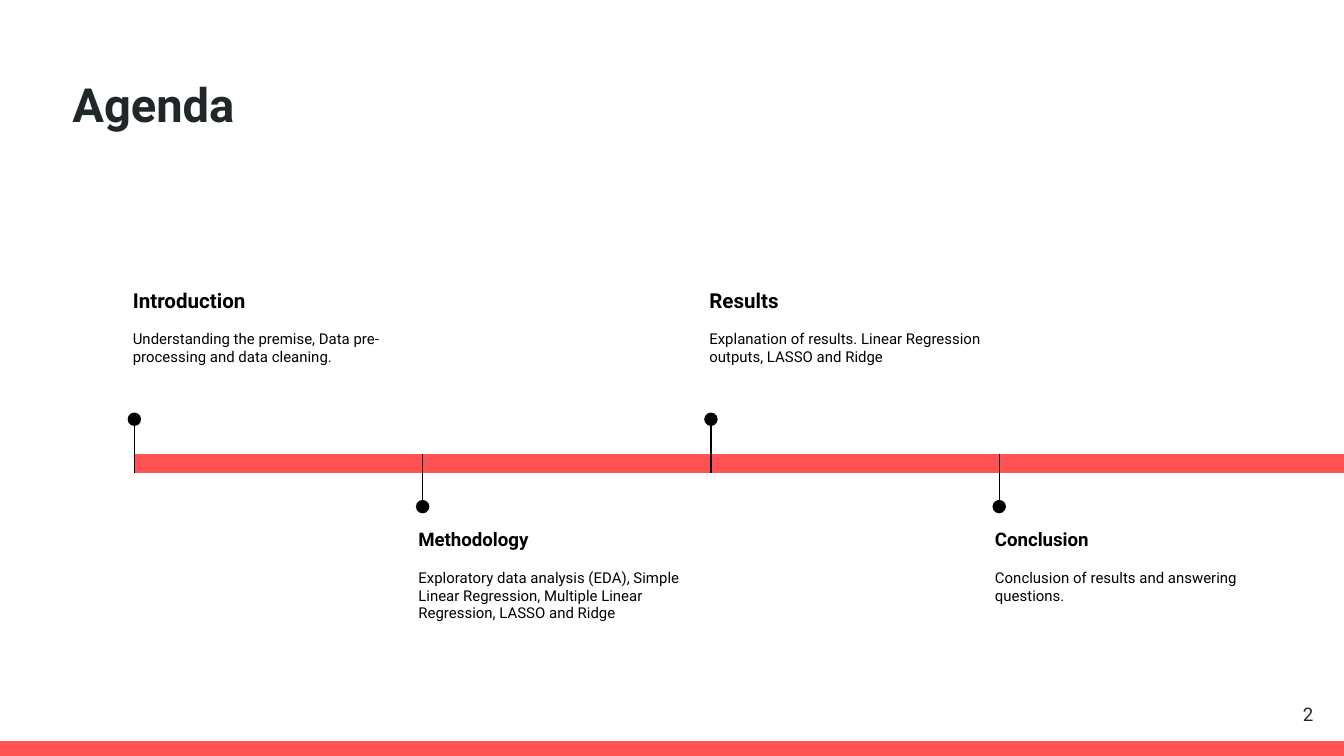
import pptx
import pptx.dml.color
import pptx.enum.shapes
import pptx.enum.text
import pptx.oxml
import pptx.util
from dataclasses import dataclass

WIDTH = 10
HEIGHT = WIDTH * 9 / 16
FIRST_COLUMN, THIRD_COLUMN = 1, 5.29
COLUMN_WIDTH = (THIRD_COLUMN - FIRST_COLUMN) / 2
BAR_TOP, BAR_HEIGHT = 3.38, 0.14
FOOTER_HEIGHT = 0.11
STEM_LENGTH, DOT_SIZE = 0.39, 0.1
MILESTONES = [
    ("Introduction", "Understanding the premise, Data pre-processing and data cleaning."),
    ("Methodology", "Exploratory data analysis (EDA), Simple Linear Regression, "
     "Multiple Linear Regression, LASSO and Ridge"),
    ("Results", "Explanation of results. Linear Regression outputs, LASSO and Ridge"),
    ("Conclusion", "Conclusion of results and answering questions."),
]


@dataclass(frozen=True)
class Theme:
    """Colours, font and type sizes of the slide."""
    font: str = "Roboto"
    accent: str = "FF5252"
    ink: str = "202729"
    black: str = "000000"
    title: float = 25.2
    heading_above: float = 11
    heading_below: float = 10
    body: float = 8
    number: float = 10


THEME = Theme()


def inches(*lengths):
    """Convert lengths in inches to slide units."""
    return [pptx.util.Inches(length) for length in lengths]


def color(value):
    """Return a hexadecimal colour as an RGB colour."""
    return pptx.dml.color.RGBColor.from_string(value)


def add_solid(slide, kind, box, fill):
    """Add a filled preset shape without outline or shadow."""
    shape = slide.shapes.add_shape(kind, *inches(*box))
    shape.shadow.inherit = False
    shape.fill.solid()
    shape.fill.fore_color.rgb = color(fill)
    shape.line.fill.background()


def add_stem(slide, x, start, end):
    """Add a thin vertical line."""
    connector = slide.shapes.add_connector(
        pptx.enum.shapes.MSO_CONNECTOR.STRAIGHT, *inches(x, start, x, end))
    connector.line.color.rgb = color(THEME.black)
    connector.line.width = pptx.util.Pt(0.75)
    properties = connector._element.spPr
    properties.append(pptx.oxml.parse_xml(
        '<a:effectLst xmlns:a="http://schemas.openxmlformats.org/drawingml/2006/main"/>'))


def add_text_box(slide, box, anchor=pptx.enum.text.MSO_ANCHOR.TOP):
    """Add an empty wrapping text box and return its frame."""
    frame = slide.shapes.add_textbox(*inches(*box)).text_frame
    frame.word_wrap = True
    frame.vertical_anchor = anchor
    frame.margin_left = frame.margin_right = pptx.util.Inches(0.1)
    frame.margin_top = frame.margin_bottom = pptx.util.Inches(0.1)
    return frame


def write(paragraph, text, size, fill=THEME.black, bold=False, align=None, before=0):
    """Write formatted text into a paragraph."""
    paragraph.alignment = align
    paragraph.space_before = pptx.util.Pt(before)
    run = paragraph.add_run()
    run.text = text
    run.font.name = THEME.font
    run.font.size = pptx.util.Pt(size)
    run.font.bold = bold
    run.font.color.rgb = color(fill)


def add_milestone(slide, column, heading, body):
    """Add one timeline segment with its pin and text, above or below the bar."""
    above = column % 2 == 0
    last = column == len(MILESTONES) - 1
    x = FIRST_COLUMN + column * COLUMN_WIDTH
    width = WIDTH - x if last else COLUMN_WIDTH
    shapes = pptx.enum.shapes.MSO_SHAPE
    add_solid(slide, shapes.RECTANGLE, (x, BAR_TOP, width, BAR_HEIGHT), THEME.accent)

    start = BAR_TOP + BAR_HEIGHT if above else BAR_TOP
    end = start - STEM_LENGTH if above else start + STEM_LENGTH
    add_stem(slide, x, start, end)
    radius = DOT_SIZE / 2
    dot_center = end - 0.01 if above else end
    add_solid(slide, shapes.OVAL,
              (x - radius, dot_center - radius, DOT_SIZE, DOT_SIZE), THEME.black)

    left, top = (x - 0.11, 2.04) if above else (x - 0.13, 3.83)
    frame = add_text_box(slide, (left, top, 2.46, 1.03))
    size = THEME.heading_above if above else THEME.heading_below
    write(frame.paragraphs[0], heading, size, bold=True)
    write(frame.add_paragraph(), body, THEME.body, before=9.5)


def main():
    """Build the agenda slide and save it."""
    presentation = pptx.Presentation()
    presentation.slide_width, presentation.slide_height = inches(WIDTH, HEIGHT)
    slide = presentation.slides.add_slide(presentation.slide_layouts[6])
    middle = pptx.enum.text.MSO_ANCHOR.MIDDLE

    add_solid(slide, pptx.enum.shapes.MSO_SHAPE.RECTANGLE,
              (0, HEIGHT - FOOTER_HEIGHT, WIDTH, FOOTER_HEIGHT), THEME.accent)
    title = add_text_box(slide, (0.44, 0.46, 9.32, 0.63), middle)
    write(title.paragraphs[0], "Agenda", THEME.title, THEME.ink, bold=True)
    for column, (heading, body) in enumerate(MILESTONES):
        add_milestone(slide, column, heading, body)
    number = add_text_box(slide, (9.27, 5.1, 0.6, 0.43), middle)
    write(number.paragraphs[0], "2", THEME.number, THEME.ink,
          align=pptx.enum.text.PP_ALIGN.RIGHT)
    presentation.save("out.pptx")


if __name__ == "__main__":
    main()
